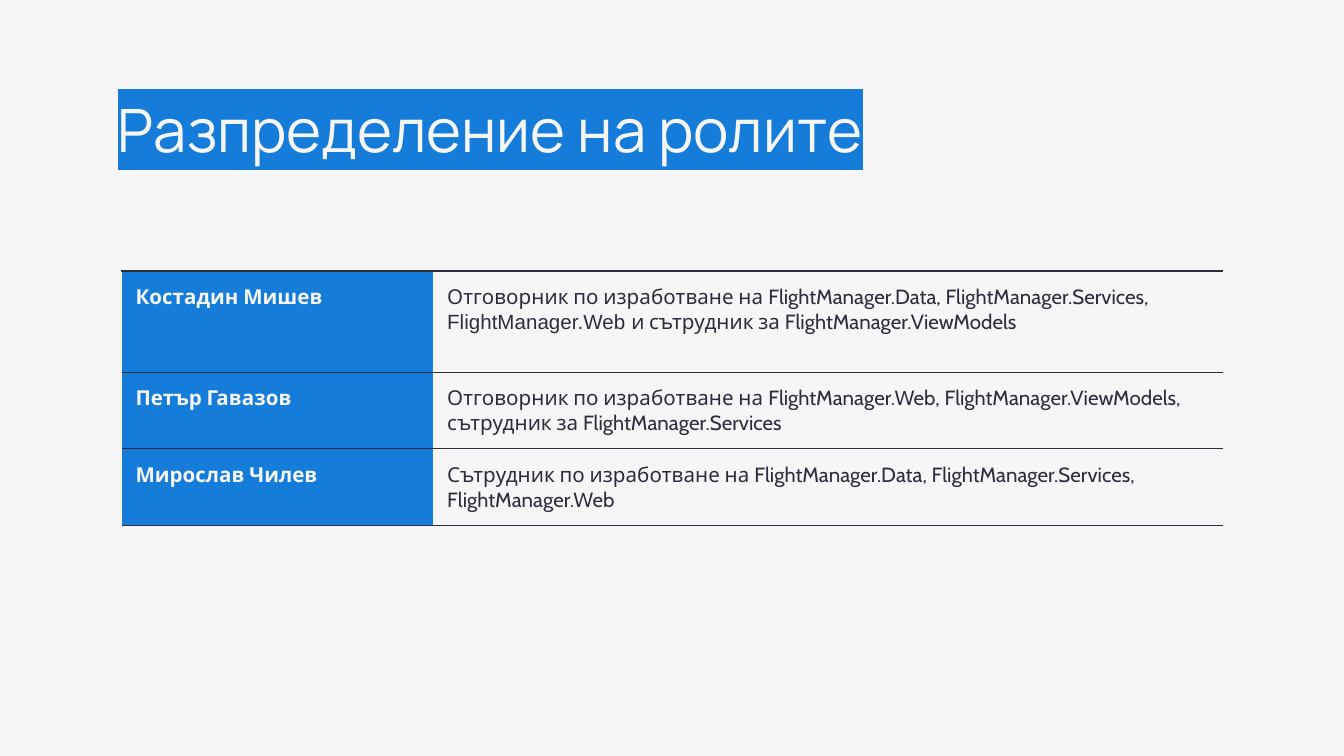
"""Build the slide that lists the team roles in a project."""
import pptx
import pptx.dml.color
import pptx.enum.text
import pptx.oxml
import pptx.oxml.ns
import pptx.util

Pt = pptx.util.Pt
COLORS = {"paper": "F6F6F6", "blue": "157DD9", "ink": "302C3E"}
BODY = "Cabin"
ROLES = [
    ("Костадин Мишев", 54, [
        ("Отговорник по изработване на FlightManager.Data, FlightManager.Services, ", BODY),
        ("FlightManager.Web ", "Arial"),
        ("и сътрудник за FlightManager.ViewModels", BODY)]),
    ("Петър Гавазов", 41, [
        ("Отговорник по изработване на FlightManager.Web, FlightManager.ViewModels, "
         "сътрудник за FlightManager.Services", BODY)]),
    ("Мирослав Чилев", 41, [
        ("Сътрудник по изработване на FlightManager.Data, FlightManager.Services, "
         "FlightManager.Web", BODY)]),
]


def rgb(name):
    """Return a palette colour."""
    return pptx.dml.color.RGBColor.from_string(COLORS[name])


def element(xml):
    """Parse a DrawingML fragment whose root declares no namespace."""
    head, rest = xml.split(">", 1)
    slash = "/" if head.endswith("/") else ""
    ns = pptx.oxml.ns.nsdecls("a")
    return pptx.oxml.parse_xml(f"{head.rstrip('/')} {ns}{slash}>{rest}")


def set_borders(cell, **sides):
    """Draw the given sides as (colour, width) and hide the others."""
    tcPr = cell._tc.get_or_add_tcPr()
    for side in "LRTB":
        color, width = sides.get(side, (None, 0))
        fill = (f'<a:solidFill><a:srgbClr val="{COLORS[color]}"/></a:solidFill>'
                if color else "<a:noFill/>")
        tcPr.append(element(f'<a:ln{side} w="{Pt(width)}">{fill}</a:ln{side}>'))


def set_fill(cell, color=None):
    """Fill a cell with a colour, or leave it clear."""
    if color:
        cell.fill.solid()
        cell.fill.fore_color.rgb = rgb(color)
    else:
        cell.fill.background()


def set_margins(box):
    """Give a cell or text frame equal margins."""
    box.margin_left = box.margin_right = box.margin_top = box.margin_bottom = Pt(7.2)


def add_title(s, text):
    """Add the highlighted title."""
    sp = s.shapes.add_textbox(Pt(56), Pt(42.5), Pt(608), Pt(45))
    tf = sp.text_frame
    tf.word_wrap = True
    tf.vertical_anchor = pptx.enum.text.MSO_ANCHOR.TOP
    set_margins(tf)
    p = tf.paragraphs[0]
    p.font.size, p.font.name = Pt(32), "Manrope"
    r = p.add_run()
    r.text = text
    r.font.color.rgb = rgb("paper")
    r.font.fill._xPr.append(element(
        f'<a:highlight><a:srgbClr val="{COLORS["blue"]}"/></a:highlight>'))


def add_plain_table(s, left, top, widths, heights):
    """Add a table without header row or banding."""
    table = s.shapes.add_table(len(heights), len(widths), Pt(left), Pt(top),
                               Pt(sum(widths)), Pt(sum(heights))).table
    table.first_row = table.horz_banding = False
    for column, width in zip(table.columns, widths):
        column.width = Pt(width)
    for row, height in zip(table.rows, heights):
        row.height = Pt(height)
    return table


def write_cell(cell, runs, color, bold=False, after=0):
    """Write (text, font) runs into a cell."""
    set_margins(cell)
    p = cell.text_frame.paragraphs[0]
    p.space_after = Pt(after)
    p.font.size, p.font.bold = Pt(11), bold
    p.font.color.rgb = rgb(color)
    for text, font in runs:
        r = p.add_run()
        r.text = text
        r.font.name = font


def add_roles(s):
    """Add the table of people and their roles."""
    table = add_plain_table(s, 65.4, 145.4, [167, 423], [height for _, height, _ in ROLES])
    rule, seam = ("ink", 0.75), ("paper", 0.75)
    for i, (person, _, duties) in enumerate(ROLES):
        name, duty = table.cell(i, 0), table.cell(i, 1)
        set_borders(name, R=seam, T=rule, B=rule)
        set_borders(duty, L=seam, T=rule, B=rule)
        set_fill(name, "blue")
        set_fill(duty)
        write_cell(name, [(person, BODY)], "paper", bold=True)
        write_cell(duty, duties, "ink", after=16)


def add_top_rule(s):
    """Add the one-cell table that rules off the top of the roles."""
    cell = add_plain_table(s, 65, 145.2, [590], [42]).cell(0, 0)
    set_borders(cell, T=("ink", 1))
    set_fill(cell)


def main():
    """Build and save the presentation."""
    prs = pptx.Presentation()
    prs.slide_width, prs.slide_height = Pt(720), Pt(405)
    s = prs.slides.add_slide(prs.slide_layouts[6])
    s.background.fill.solid()
    s.background.fill.fore_color.rgb = rgb("paper")
    add_title(s, "Разпределение на ролите")
    add_roles(s)
    add_top_rule(s)
    prs.save("out.pptx")


if __name__ == "__main__":
    main()
